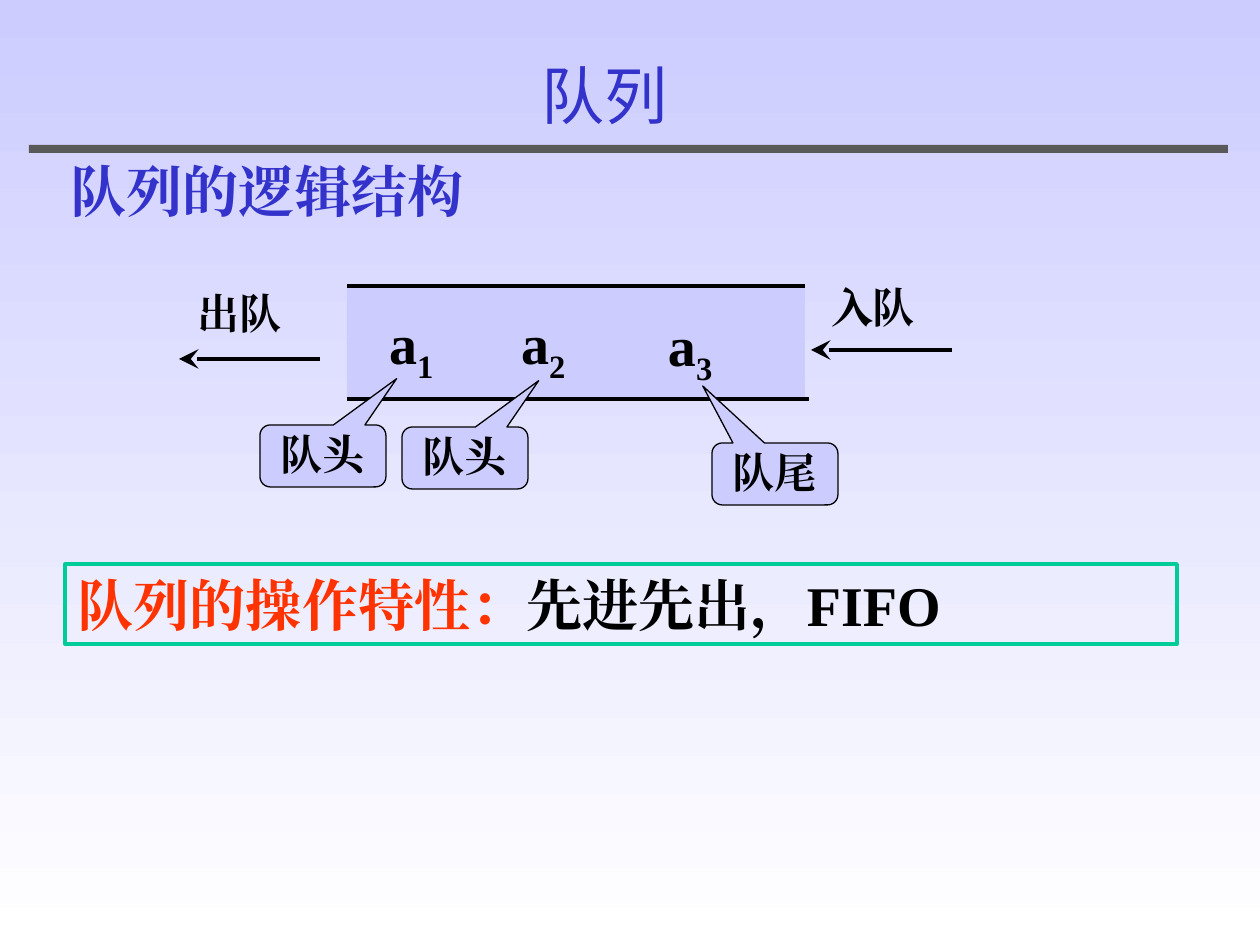
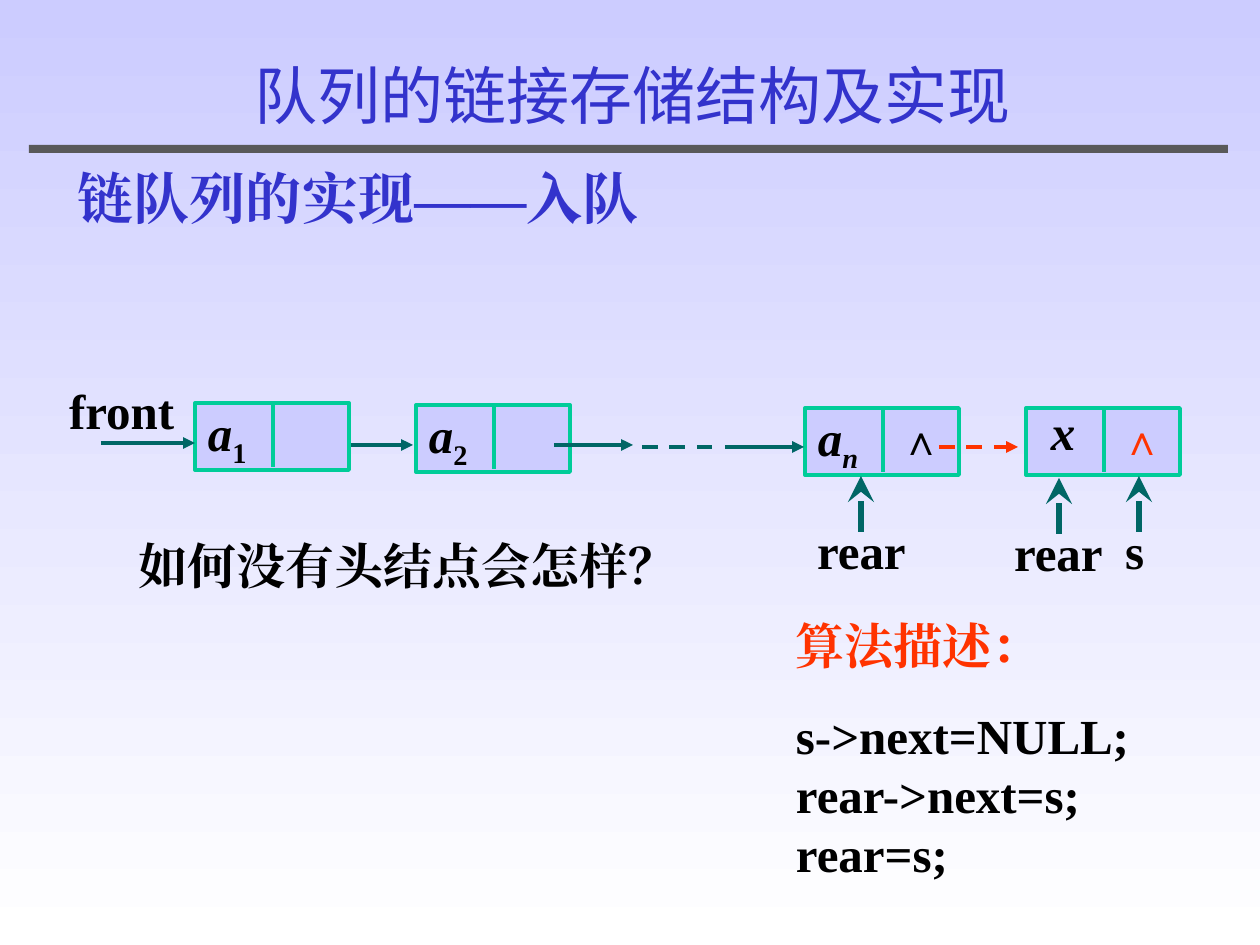
from dataclasses import dataclass

from lxml import etree
from pptx import Presentation, util as u
from pptx.dml.color import RGBColor
from pptx.enum import dml, lang, shapes, text
from pptx.oxml.ns import qn

PX_PER_INCH = 126
SERIF, SANS = "Times New Roman", "Noto Sans CJK SC"
BLACK, BLUE, RED = "000000", "3333CC", "FF3300"
LAVENDER, GREEN, TEAL, GREY, WHITE = "CCCCFF", "00CC99", "006666", "595959", "FFFFFF"
INSETS = (13, 6, 13, 6)
NO_INSETS = (0, 0, 0, 0)


@dataclass
class Run:
    words: str
    color: str = BLACK
    italic: bool = False
    sub: bool = False


def px(length):
    return u.Emu(round(length * u.Inches(1) / PX_PER_INCH))


def rgb(hex_color):
    return RGBColor.from_string(hex_color)


def format_run(run, size, color, font=SERIF, bold=True, italic=False, sub=False):
    run.font.size = u.Pt(size)
    run.font.bold, run.font.italic = bold, italic
    run.font.color.rgb = rgb(color)
    run.font.name = font
    run.font.language_id = lang.MSO_LANGUAGE_ID.SIMPLIFIED_CHINESE
    props = run._r.get_or_add_rPr()
    east_asian = etree.Element(qn("a:ea"), typeface=font)
    props.find(qn("a:latin")).addnext(east_asian)
    if sub:
        props.set("baseline", "-25000")


def set_frame(frame, insets, wrap=True):
    frame.auto_size = text.MSO_AUTO_SIZE.NONE
    frame.word_wrap = wrap
    frame.vertical_anchor = text.MSO_ANCHOR.TOP
    (frame.margin_left, frame.margin_top,
     frame.margin_right, frame.margin_bottom) = map(px, insets)


def write(frame, paragraphs, size, insets=INSETS, align=text.PP_ALIGN.LEFT,
          spacing=None, wrap=True):
    """Fill a frame; each paragraph is a list of Run."""
    set_frame(frame, insets, wrap)
    for index, runs in enumerate(paragraphs):
        paragraph = frame.add_paragraph() if index else frame.paragraphs[0]
        paragraph.alignment = align
        if spacing:
            paragraph.line_spacing = spacing
        for item in runs:
            run = paragraph.add_run()
            run.text = item.words
            format_run(run, size, item.color, italic=item.italic, sub=item.sub)


def add_label(slide, box, runs, size, **layout):
    label = slide.shapes.add_textbox(*map(px, box))
    write(label.text_frame, [runs], size, **layout)


def add_box(slide, box, fill=None, line=None, weight=2.25,
            preset=shapes.MSO_SHAPE.RECTANGLE):
    shape = slide.shapes.add_shape(preset, *map(px, box))
    shape.shadow.inherit = False
    if fill:
        shape.fill.solid()
        shape.fill.fore_color.rgb = rgb(fill)
    else:
        shape.fill.background()
    if line:
        shape.line.color.rgb = rgb(line)
        shape.line.width = u.Pt(weight)
    else:
        shape.line.fill.background()
    return shape


def add_line(slide, start, end, color, weight=2.25, head=None, dashed=False):
    line = slide.shapes.add_connector(
        shapes.MSO_CONNECTOR.STRAIGHT, *map(px, start + end))
    line.line.color.rgb = rgb(color)
    line.line.width = u.Pt(weight)
    if dashed:
        line.line.dash_style = dml.MSO_LINE.DASH
    if head:
        size = "lg" if head == "stealth" else "med"
        etree.SubElement(line.line._get_or_add_ln(), qn("a:tailEnd"),
                         type=head, w=size, len=size)
    etree.SubElement(line._element.spPr, qn("a:effectLst"))


def add_callout(slide, left, top, words, tip):
    callout = add_box(slide, (left, top, 126, 62), LAVENDER, BLACK, 0.75,
                      shapes.MSO_SHAPE.ROUNDED_RECTANGULAR_CALLOUT)
    callout.adjustments[0], callout.adjustments[1] = tip
    write(callout.text_frame, [[Run(words)]], 24, (0, 1, 0, 6),
          text.PP_ALIGN.CENTER)


def add_node(slide, left, top, runs, indent=13):
    """Linked-list node: a data field and a pointer field."""
    node = add_box(slide, (left, top, 154, 67), LAVENDER, GREEN)
    write(node.text_frame, [runs], 28, (indent, 0, 0, 10), spacing=0.9)
    add_line(slide, (left + 78, top), (left + 78, top + 64), GREEN)


def add_pointer(slide, name, left, top, width, arrow_x):
    add_label(slide, (left, top, width, 44), [Run(name)], 28,
              insets=NO_INSETS, spacing=0.8, align=text.PP_ALIGN.JUSTIFY)
    add_line(slide, (arrow_x, top), (arrow_x, top - 56), TEAL, 3, "stealth")


def set_background(master):
    fill = master.background.fill
    fill.gradient()
    fill.gradient_angle = 270
    for stop, position, color in zip(fill.gradient_stops, (0, 1), (LAVENDER, WHITE)):
        stop.position = position
        stop.color.rgb = rgb(color)


def start_slide(prs, heading, left, width):
    """Slide with the shared title style and the grey band under it."""
    slide = prs.slides.add_slide(prs.slide_layouts[5])
    title = slide.shapes.title
    title.left, title.top, title.width, title.height = map(px, (left, 50, width, 88))
    title.text_frame.text = heading
    set_frame(title.text_frame, INSETS)
    paragraph = title.text_frame.paragraphs[0]
    paragraph.alignment = text.PP_ALIGN.CENTER
    run = paragraph.runs[0]
    format_run(run, 36, BLUE, SANS, bold=False)
    # Soft text shadow
    effects = etree.Element(qn("a:effectLst"))
    shadow = etree.SubElement(effects, qn("a:outerShdw"),
                              dist="25400", dir="2700000", algn="tl")
    etree.SubElement(shadow, qn("a:srgbClr"), val="808080")
    run._r.rPr.find(qn("a:solidFill")).addnext(effects)
    add_box(slide, (29, 145, 1199, 8), GREY, GREY, 0.5)
    return slide


def build_queue_slide(prs):
    slide = start_slide(prs, "队列", 333, 542)
    add_label(slide, (58, 150, 703, 81), [Run("队列的逻辑结构", BLUE)], 32)

    # Queue channel and its elements
    add_line(slide, (347, 286), (805, 286), BLACK)
    add_line(slide, (347, 399), (809, 399), BLACK)
    add_box(slide, (347, 288, 458, 109), LAVENDER)
    for number, left, top in (("1", 376, 303), ("2", 508, 303), ("3", 655, 305)):
        add_label(slide, (left, top, 69, 89), [Run("a"), Run(number, sub=True)],
                  32, wrap=False)

    # Leaving and entering
    for words, left, top, arrow_x, arrow_y in (
            ("出队", 185, 282, 179, 359), ("入队", 818, 276, 811, 350)):
        add_label(slide, (left, top, 130, 63), [Run(words)], 24)
        add_line(slide, (arrow_x + 141, arrow_y), (arrow_x, arrow_y), BLACK,
                 head="stealth")

    # Front and rear marks
    front_tip = (0.585, -1.246)
    add_callout(slide, 712, 443, "队尾", (-0.573, -1.419))
    add_callout(slide, 260, 425, "队头", front_tip)
    add_callout(slide, 402, 427, "队头", front_tip)

    # Operating rule
    rule = add_box(slide, (65, 564, 1112, 80), line=GREEN)
    write(rule.text_frame,
          [[Run("队列的操作特性：", RED), Run("先进先出，FIFO")]], 32)


def build_enqueue_slide(prs):
    slide = start_slide(prs, "队列的链接存储结构及实现", 59, 1147)
    add_label(slide, (65, 157, 851, 81), [Run("链队列的实现——入队", BLUE)], 32)

    # Nodes
    a = Run("a", italic=True)
    add_node(slide, 195, 403, [a, Run("1", sub=True)])
    add_node(slide, 416, 405, [a, Run("2", sub=True)])
    add_node(slide, 805, 408, [a, Run("n", italic=True, sub=True)])
    add_node(slide, 1026, 408, [Run("x", italic=True)], indent=25)
    for left, color in ((887, BLACK), (1108, RED)):
        add_label(slide, (left, 408, 72, 62), [Run("∧", color)], 24,
                  insets=(13, 6, 13, 5))

    # Links
    add_label(slide, (69, 381, 120, 64), [Run("front")], 28, insets=(0, 0, 0, 5))
    for start, end, y in ((101, 195, 443), (351, 413, 445),
                          (554, 633, 445), (725, 804, 447)):
        add_line(slide, (start, y), (end, y), TEAL, head="triangle")
    add_line(slide, (642, 447), (719, 447), TEAL, dashed=True)
    add_line(slide, (939, 447), (1018, 447), RED, head="triangle", dashed=True)

    # Pointers
    add_pointer(slide, "rear", 817, 532, 107, 861)
    add_pointer(slide, "rear", 1014, 534, 107, 1059)
    add_pointer(slide, "s", 1125, 532, 30, 1139)

    # Question and algorithm
    add_label(slide, (126, 529, 641, 72), [Run("如何没有头结点会怎样？")], 28)
    algorithm = slide.shapes.add_textbox(*map(px, (783, 610, 450, 278)))
    steps = ("s->next=NULL;", "rear->next=s;", "rear=s;")
    write(algorithm.text_frame,
          [[Run("算法描述：", RED)]] + [[Run(step)] for step in steps], 28)
    algorithm.text_frame.paragraphs[1].space_before = u.Pt(17.5)


def main():
    prs = Presentation()
    prs.slide_width, prs.slide_height = u.Inches(10), u.Inches(7.5)
    set_background(prs.slide_master)
    build_queue_slide(prs)
    build_enqueue_slide(prs)
    prs.save("out.pptx")


if __name__ == "__main__":
    main()
